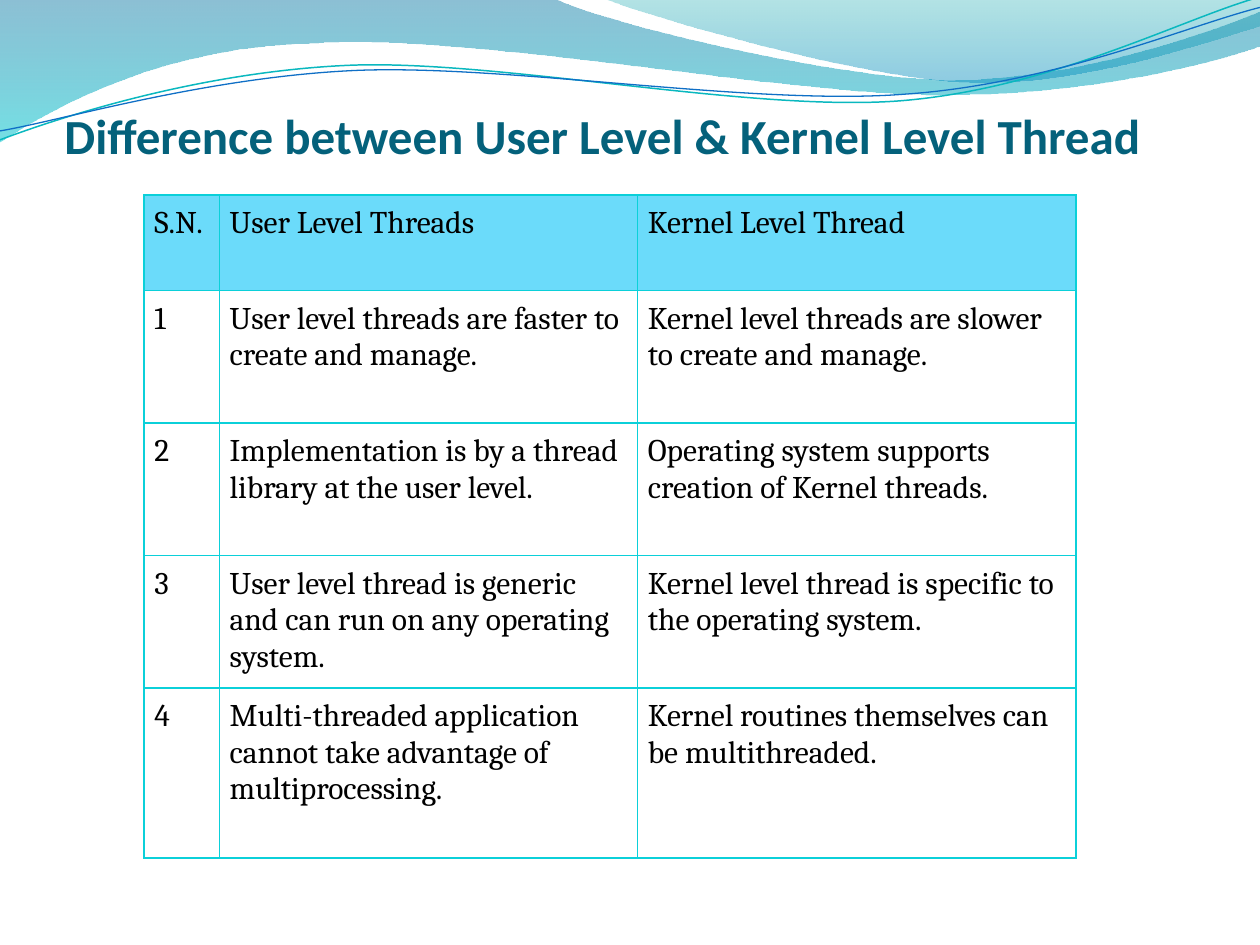
"""Build a slide comparing user level and kernel level threads."""
from dataclasses import dataclass

from lxml import etree
from pptx import Presentation
from pptx.dml.color import RGBColor
from pptx.enum import text
from pptx.oxml import ns
from pptx.util import Cm, Pt

TITLE = RGBColor(0x04, 0x61, 0x7B)
BLACK = RGBColor(0x00, 0x00, 0x00)
HEADER = RGBColor(0x6B, 0xDB, 0xFA)
BORDER = RGBColor(0x0B, 0xD0, 0xD9)
DEEP_BLUE = RGBColor(0x00, 0x74, 0xA1)
AQUA = RGBColor(0x00, 0xC6, 0xCF)
TEAL = RGBColor(0x00, 0xA1, 0xA9)
SKY = RGBColor(0x00, 0x8B, 0xBF)
TEAL_LINE = RGBColor(0x0A, 0xB8, 0xBF)
BLUE_LINE = RGBColor(0x0F, 0x6F, 0xC6)

Point = tuple[float, float]
LINE_TILT = -2.7


@dataclass
class Stop:
    color: RGBColor
    opacity: int


@dataclass
class Wave:
    """An outline in cm; a segment is one line end or three Bezier points."""
    start: Point
    segments: list[tuple[Point, ...]]
    stops: tuple[Stop, ...] = ()
    line: RGBColor | None = None
    width: float = 0


WAVES = [
    Wave((-0.02, 0), [
        ((11.18, -0.03),),
        ((12.09, 0.43), (16.87, 1.6), (19.25, 1.6)),
        ((21.67, 1.6), (24.33, 0.66), (25.4, 0.23)),
        ((25.43, 0.91),),
        ((24.97, 1.12), (22.1, 1.93), (18.95, 1.91)),
        ((15.8, 1.91), (9.7, 0.71), (6.53, 0.86)),
        ((3.28, 0.91), (1.17, 2.11), (-0.03, 2.87)),
    ], stops=(Stop(DEEP_BLUE, 45), Stop(AQUA, 55))),
    Wave((12.17, -0.03), [
        ((12.93, 0.28), (17.32, 1.57), (19.53, 1.65)),
        ((21.74, 1.75), (24.41, 0.81), (25.4, 0.53)),
        ((25.4, 0),),
    ], stops=(Stop(TEAL, 30), Stop(SKY, 45))),
    Wave((-0.05, 2.22), [
        ((1.19, 1.82), (4.02, 1.04), (7.05, 1.05)),
        ((10.05, 1.07), (15.02, 2.37), (18.08, 2.29)),
        ((21.13, 2.2), (23.86, 0.91), (25.41, 0.55)),
    ], line=TEAL_LINE, width=0.85),
    Wave((-0.04, 2.04), [
        ((1.16, 1.9), (4.17, 1.15), (7.2, 1.16)),
        ((10.25, 1.18), (15.13, 2.25), (18.19, 2.16)),
        ((21.21, 2.1), (23.93, 1.06), (25.45, 0.75)),
    ], line=BLUE_LINE, width=0.75),
]

COLUMNS = [1.52, 8.43, 8.84]
HEIGHTS = [1.93, 2.67, 2.67, 2.67, 3.43]
ROWS = [
    ("S.N.", "User Level Threads", "Kernel Level Thread"),
    ("1", "User level threads are faster to create and manage.",
     "Kernel level threads are slower to create and manage."),
    ("2", "Implementation is by a thread library at the user level.",
     "Operating system supports creation of Kernel threads."),
    ("3", "User level thread is generic and can run on any operating system.",
     "Kernel level thread is specific to the operating system."),
    ("4", "Multi-threaded application cannot take advantage of multiprocessing.",
     "Kernel routines themselves can be multithreaded."),
]


def curve_segments(sp, segments: list[tuple[Point, ...]]) -> None:
    """Merge the straight steps of each three-point segment into a Bezier."""
    steps = iter(list(sp._element.iter(ns.qn("a:lnTo"))))
    for segment in segments:
        group = [next(steps) for _ in segment]
        if len(group) == 3:
            curve = etree.Element(ns.qn("a:cubicBezTo"))
            group[0].addprevious(curve)
            for step in group:
                curve.append(step[0])
                step.getparent().remove(step)


def draw_wave(s, wave: Wave) -> None:
    """Draw one filled or stroked header wave."""
    builder = s.shapes.build_freeform(Cm(wave.start[0]), Cm(wave.start[1]))
    points = [(Cm(x), Cm(y)) for segment in wave.segments for x, y in segment]
    builder.add_line_segments(points, close=bool(wave.stops))
    sp = builder.convert_to_shape()
    curve_segments(sp, wave.segments)
    sp.shadow.inherit = False
    if wave.line is not None:
        sp.rotation = LINE_TILT
        sp.fill.background()
        sp.line.color.rgb = wave.line
        sp.line.width = Pt(wave.width)
        return
    sp.line.fill.background()
    sp.fill.gradient()
    sp.fill.gradient_angle = 270
    for position, (target, stop) in enumerate(zip(sp.fill.gradient_stops, wave.stops)):
        target.position = position
        target.color.rgb = stop.color
    for color, stop in zip(sp._element.spPr.iter(ns.qn("a:srgbClr")), wave.stops):
        etree.SubElement(color, ns.qn("a:alpha"), val=str(stop.opacity * 1000))


def format_font(p, name: str, size: float, color: RGBColor, bold: bool = False) -> None:
    """Format every run of a paragraph."""
    for r in p.runs:
        r.font.name, r.font.size, r.font.bold = name, Pt(size), bold
        r.font.color.rgb = color


def add_title(s, title: str) -> None:
    """Fill the title placeholder and bring it in front of the waves."""
    sp = s.shapes.title
    sp.left, sp.top, sp.width, sp.height = Cm(1.3), Cm(1.32), Cm(22.86), Cm(3.18)
    tf = sp.text_frame
    tf.text = title
    tf.word_wrap = True
    tf.auto_size = text.MSO_AUTO_SIZE.NONE
    tf.vertical_anchor = text.MSO_ANCHOR.BOTTOM
    tf.margin_left = tf.margin_right = 0
    tf.margin_top, tf.margin_bottom = Cm(0.13), Cm(1.19)
    p = tf.paragraphs[0]
    p.alignment = text.PP_ALIGN.LEFT
    format_font(p, "Calibri", 28, TITLE, bold=True)
    s.shapes._spTree.append(sp._element)


def add_borders(cell) -> None:
    """Outline all four sides of a cell."""
    tc_pr = cell._tc.get_or_add_tcPr()
    for i, side in enumerate(("lnL", "lnR", "lnT", "lnB")):
        ln = etree.Element(ns.qn(f"a:{side}"), w=str(Pt(1)))
        fill = etree.SubElement(ln, ns.qn("a:solidFill"))
        etree.SubElement(fill, ns.qn("a:srgbClr"), val=str(BORDER))
        tc_pr.insert(i, ln)


def add_comparison(s) -> None:
    """Add the comparison table."""
    table = s.shapes.add_table(len(ROWS), len(COLUMNS), Cm(2.9), Cm(3.93),
                               Cm(sum(COLUMNS)), Cm(sum(HEIGHTS))).table
    table.horz_banding = False
    for column, width in zip(table.columns, COLUMNS):
        column.width = Cm(width)
    for i, (row, height) in enumerate(zip(table.rows, HEIGHTS)):
        row.height = Cm(height)
        for cell, words in zip(row.cells, ROWS[i]):
            cell.text_frame.text = words
            cell.margin_left = cell.margin_right = Cm(0.21)
            cell.margin_top = cell.margin_bottom = Cm(0.21)
            format_font(cell.text_frame.paragraphs[0], "Cambria", 18, BLACK)
            if i == 0:
                cell.fill.solid()
                cell.fill.fore_color.rgb = HEADER
            else:
                cell.fill.background()
            add_borders(cell)


def main() -> None:
    """Build and save the presentation."""
    prs = Presentation()
    prs.slide_width, prs.slide_height = Cm(25.4), Cm(19.05)
    s = prs.slides.add_slide(prs.slide_layouts[5])
    for wave in WAVES:
        draw_wave(s, wave)
    add_title(s, "Difference between User Level & Kernel Level Thread")
    add_comparison(s)
    prs.save("out.pptx")


if __name__ == "__main__":
    main()
